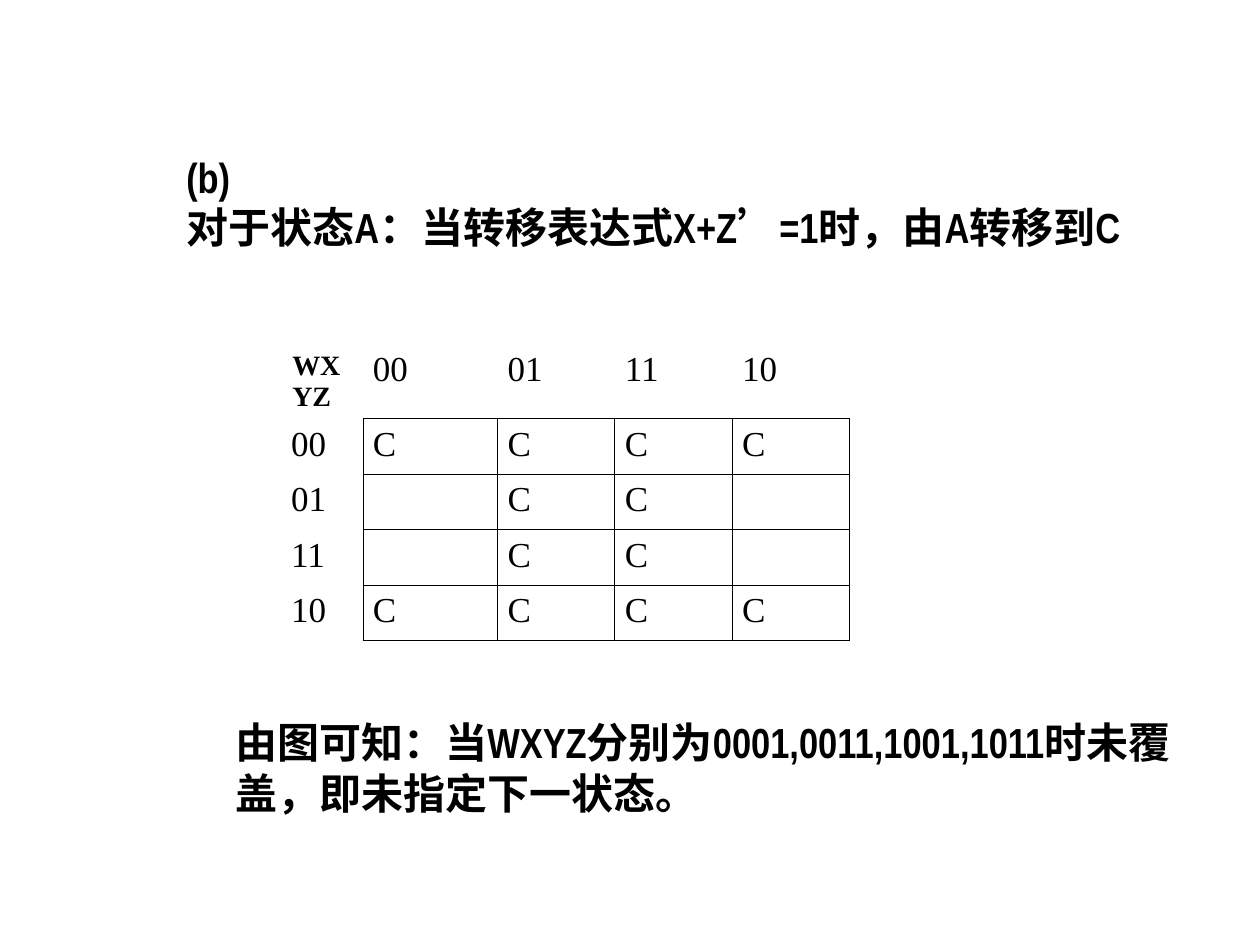
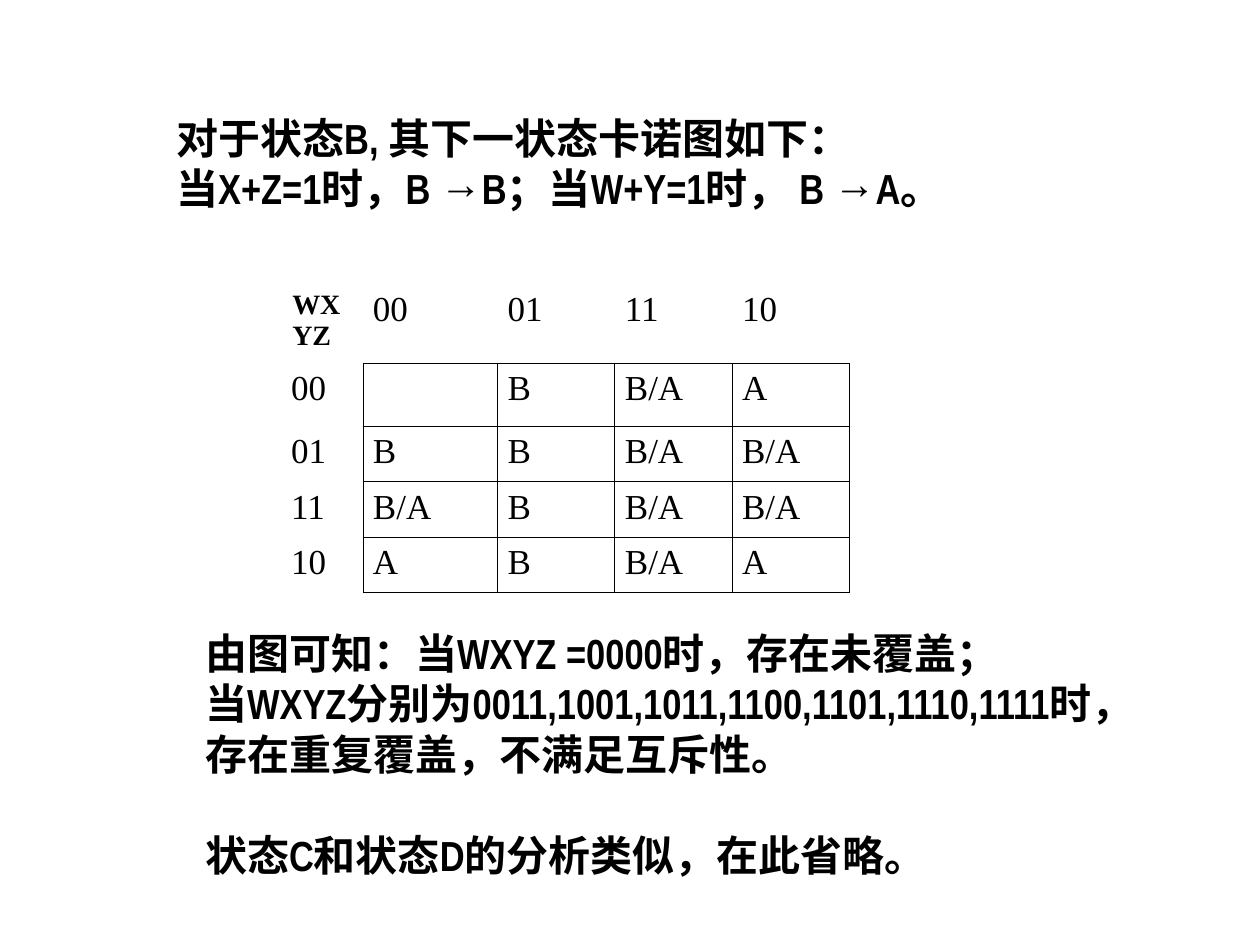
"""Build two slides of next-state Karnaugh maps with their explanations."""
from lxml.etree import SubElement
from pptx import Presentation
from pptx.dml.color import RGBColor
from pptx.enum.text import MSO_AUTO_SIZE as AutoSize, PP_ALIGN as Align
from pptx.oxml.ns import qn
from pptx.util import Inches, Pt

COLORS = {"ink": "000000"}
FONTS = {"body": "Arial Narrow", "map": "Times New Roman"}
GRAY_CODE = ["00", "01", "11", "10"]
COL_WIDTHS = [0.79, 1.07, 0.93, 0.93, 0.93]


class Deck:
    """Hold the shared style and the current slide."""

    def __init__(self):
        self.prs = Presentation()
        self.prs.slide_width, self.prs.slide_height = Inches(10), Inches(7.5)
        self.s = None

    def slide(self):
        self.s = self.prs.slides.add_slide(self.prs.slide_layouts[6])

    def run(self, p, text, font, size, bold):
        r = p.add_run()
        r.text = text
        r.font.name, r.font.size, r.font.bold = FONTS[font], Pt(size), bold
        r.font.color.rgb = RGBColor.from_string(COLORS["ink"])

    def text(self, left, top, width, height, lines, last_gap=0):
        box = self.s.shapes.add_textbox(Inches(left), Inches(top), Inches(width), Inches(height))
        tf = box.text_frame
        tf.word_wrap, tf.auto_size = True, AutoSize.SHAPE_TO_FIT_TEXT
        for i, line in enumerate(lines):
            p = tf.add_paragraph() if i else tf.paragraphs[0]
            self.run(p, line, "body", 24, True)
        if last_gap:
            p.space_before = Pt(last_gap)

    def borders(self, cell, sides):
        tc_pr = cell._tc.get_or_add_tcPr()
        for i, side in enumerate("LRTB"):
            ln = SubElement(tc_pr, qn(f"a:ln{side}"), w=str(Pt(0.45)))
            if side in sides:
                fill = SubElement(ln, qn("a:solidFill"))
                SubElement(fill, qn("a:srgbClr"), val=COLORS["ink"])
            else:
                SubElement(ln, qn("a:noFill"))
            tc_pr.insert(i, ln)

    def cell(self, cell, lines, sides, size=20, bold=False, indent=0):
        cell.margin_left = cell.margin_right = Inches(0.08)
        cell.margin_top = cell.margin_bottom = Inches(0.05)
        cell.fill.background()
        self.borders(cell, sides)
        tf = cell.text_frame
        for i, line in enumerate(lines):
            p = tf.add_paragraph() if i else tf.paragraphs[0]
            p.alignment = Align.JUSTIFY
            if indent:
                p._p.get_or_add_pPr().set("marL", str(Inches(indent)))
            self.run(p, line, "map", size, bold)

    def karnaugh_map(self, top, row_heights, states):
        frame = self.s.shapes.add_table(5, 5, Inches(2.09), Inches(top),
                                        Inches(sum(COL_WIDTHS)), Inches(sum(row_heights)))
        tbl = frame.table
        tbl.first_row = tbl.horz_banding = False
        for col, width in zip(tbl.columns, COL_WIDTHS):
            col.width = Inches(width)
        for row, height in zip(tbl.rows, row_heights):
            row.height = Inches(height)
        self.cell(tbl.cell(0, 0), ["WX", "YZ"], "", size=16, bold=True, indent=0.15)
        for i, code in enumerate(GRAY_CODE, 1):
            self.cell(tbl.cell(0, i), [code], "B")
            self.cell(tbl.cell(i, 0), [code], "R", indent=0.14)
            for j, state in enumerate(states[i - 1], 1):
                self.cell(tbl.cell(i, j), [state] if state else [], "LRTB")


def main():
    deck = Deck()

    deck.slide()
    deck.karnaugh_map(2.73, [0.59] + [0.44] * 4, [
        ["C", "C", "C", "C"],
        ["", "C", "C", ""],
        ["", "C", "C", ""],
        ["C", "C", "C", "C"],
    ])
    deck.text(1.38, 1.15, 7.72, 1.3, ["(b)", "对于状态A：当转移表达式X+Z’=1时，由A转移到C"])
    deck.text(1.77, 5.64, 7.64, 0.9,
              ["由图可知：当WXYZ分别为0001,0011,1001,1011时未覆盖，即未指定下一状态。"])

    deck.slide()
    deck.karnaugh_map(2.25, [0.63, 0.5] + [0.44] * 3, [
        ["", "B", "B/A", "A"],
        ["B", "B", "B/A", "B/A"],
        ["B/A", "B", "B/A", "B/A"],
        ["A", "B", "B/A", "A"],
    ])
    deck.text(1.3, 0.84, 7.8, 0.9, [
        "对于状态B, 其下一状态卡诺图如下：",
        "当X+Z=1时，B →B；当W+Y=1时， B →A。",
    ])
    deck.text(1.53, 4.93, 7.24, 2.5, [
        "由图可知：当WXYZ =0000时，存在未覆盖；",
        "当WXYZ分别为0011,1001,1011,1100,1101,1110,1111时，",
        "存在重复覆盖，不满足互斥性。",
        "状态C和状态D的分析类似，在此省略。",
    ], last_gap=29)

    deck.prs.save("out.pptx")


if __name__ == "__main__":
    main()
